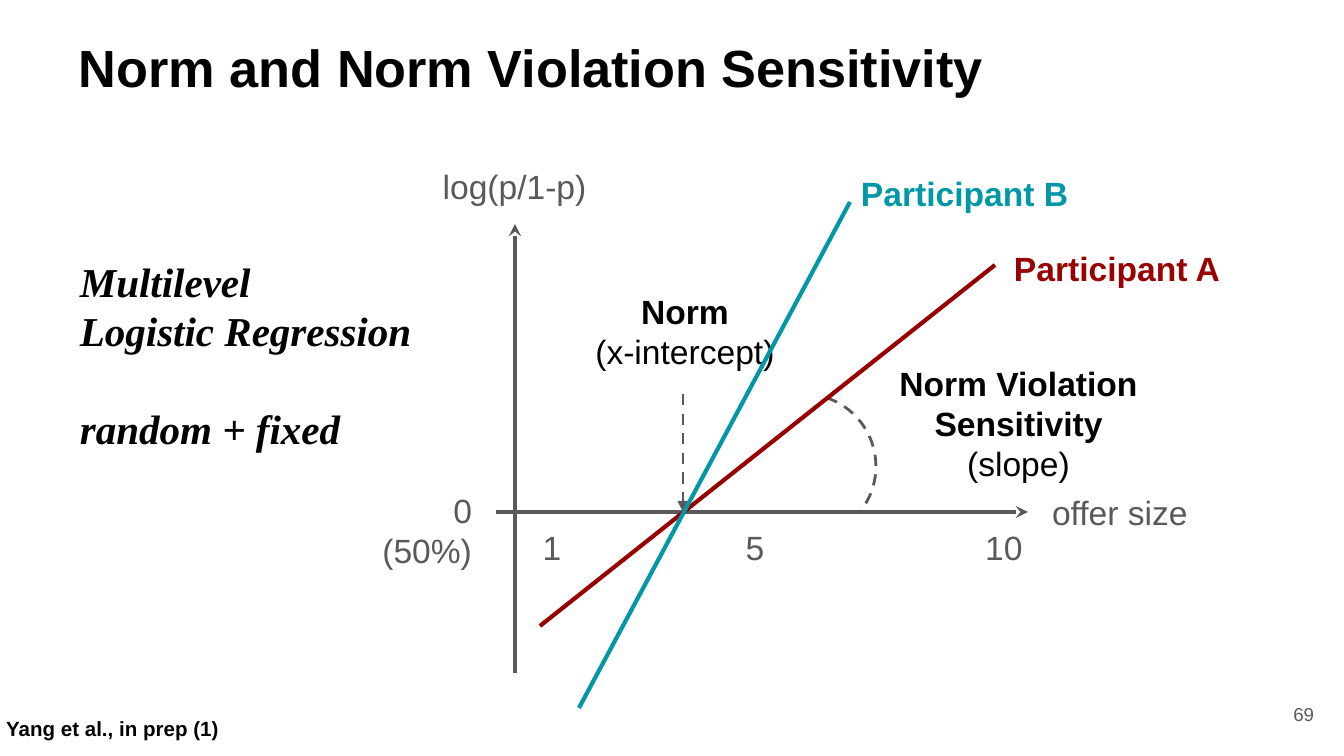
from lxml.etree import SubElement
from pptx import Presentation
from pptx.dml.color import RGBColor
from pptx.enum.dml import MSO_LINE
from pptx.enum.shapes import MSO_CONNECTOR, MSO_SHAPE
from pptx.enum.text import MSO_ANCHOR as ANCHOR, MSO_AUTO_SIZE, PP_ALIGN as ALIGN
from pptx.oxml.ns import qn
from pptx.util import Pt

WIDTH, HEIGHT = 1344, 756
PX = 9144000 / WIDTH
INSET = 13

BLACK = RGBColor(0x00, 0x00, 0x00)
WHITE = RGBColor(0xFF, 0xFF, 0xFF)
GRAY = RGBColor(0x59, 0x59, 0x59)
RED = RGBColor(0x98, 0x00, 0x00)
LABEL_RED = RGBColor(0x98, 0x03, 0x02)
TEAL = RGBColor(0x00, 0x97, 0xA7)

AXIS_LABEL = dict(size=Pt(18), name="Arial", color=GRAY)
PLAIN = dict(AXIS_LABEL, color=BLACK)
BOLD = dict(PLAIN, bold=True)
MODEL = dict(size=Pt(22), name="Times New Roman", color=BLACK, bold=True, italic=True)

TITLE = ("Norm and Norm Violation Sensitivity", dict(BOLD, size=Pt(28)))
TITLE_AREA = (-1, 22, 1300, 165)
TITLE_INDENT = 67

# area, alignment, anchor, (text, format) per paragraph
TEXTS = [
    ((1246, 685, 81, 58), ALIGN.RIGHT, ANCHOR.MIDDLE, [("69", dict(AXIS_LABEL, size=Pt(10)))]),
    ((426, 157, 177, 58), ALIGN.CENTER, ANCHOR.MIDDLE, [("log(p/1-p)", AXIS_LABEL)]),
    ((215, 448, 270, 164), ALIGN.RIGHT, ANCHOR.MIDDLE, [("0", AXIS_LABEL), ("(50%)", AXIS_LABEL)]),
    ((575, 302, 220, 58), ALIGN.CENTER, ANCHOR.MIDDLE, [("Norm", BOLD), ("(x-intercept)", PLAIN)]),
    ((872, 394, 293, 58), ALIGN.CENTER, ANCHOR.MIDDLE,
     [("Norm Violation Sensitivity", BOLD), ("(slope)", PLAIN)]),
    ((1039, 483, 177, 58), ALIGN.LEFT, ANCHOR.MIDDLE, [("offer size", AXIS_LABEL)]),
    ((67, 312, 367, 85), ALIGN.LEFT, ANCHOR.MIDDLE,
     [("Multilevel", MODEL), ("Logistic Regression", MODEL),
      ("random + fixed", dict(MODEL, space_before=Pt(26)))]),
    ((1001, 235, 243, 54), ALIGN.LEFT, ANCHOR.TOP, [("Participant A", dict(BOLD, color=LABEL_RED))]),
    ((848, 160, 243, 54), ALIGN.LEFT, ANCHOR.TOP, [("Participant B", dict(BOLD, color=TEAL))]),
    ((-7, 685, 1051, 69), ALIGN.LEFT, ANCHOR.BOTTOM,
     [("Yang et al., in prep (1)", dict(BOLD, size=Pt(11)))]),
]

# label, centre x, width
TICKS = [("1", 552, 47), ("5", 755, 47), ("10", 1004, 67)]
TICK_TOP, TICK_HEIGHT = 520, 54

# start, end, colour, width in points, arrowhead, dashed
LINES = [
    ((515, 673), (515, 224), GRAY, 2.25, "stealth", False),
    ((496, 512), (1028, 512), GRAY, 2.25, "stealth", False),
    ((683, 394), (683, 512), GRAY, 1.5, "triangle", True),
    ((995, 265), (540, 626), RED, 2.25, None, False),
    ((850, 202), (579, 708), TEAL, 2.25, None, False),
]

# The white cover leaves only the slope angle's arc of the circle visible
ANGLE_CIRCLE = (731, 394, 145, 145)
ANGLE_COVER = (644, 284, 191, 328)
COVER_ROTATION = 342.8


def emu(lengths):
    return [round(length * PX) for length in lengths]


def write(shape, paragraphs, align, anchor):
    frame = shape.text_frame
    settings = dict(word_wrap=True, auto_size=MSO_AUTO_SIZE.NONE, vertical_anchor=anchor)
    for side in ("left", "top", "right", "bottom"):
        settings["margin_" + side] = round(INSET * PX)
    for key, value in settings.items():
        setattr(frame, key, value)
    for index, (text, style) in enumerate(paragraphs):
        paragraph = frame.add_paragraph() if index else frame.paragraphs[0]
        paragraph.alignment = align
        run = paragraph.add_run()
        run.text = text
        for key, value in style.items():
            if key == "color":
                run.font.color.rgb = value
            elif key == "space_before":
                paragraph.space_before = value
            else:
                setattr(run.font, key, value)


def add_angle_part(group, kind, area, color, width):
    part = group.shapes.add_shape(kind, *emu(area))
    part.shadow.inherit = False
    part.fill.solid()
    part.fill.fore_color.rgb = WHITE
    part.line.color.rgb = color
    part.line.width = Pt(width)
    return part


def add_line(shapes, start, end, color, width, arrowhead, dashed):
    connector = shapes.add_connector(MSO_CONNECTOR.STRAIGHT, *emu(start + end))
    line = connector.line
    line.color.rgb = color
    line.width = Pt(width)
    if dashed:
        line.dash_style = MSO_LINE.DASH
    if arrowhead:
        SubElement(line._get_or_add_ln(), qn("a:tailEnd"), type=arrowhead)
    SubElement(connector._element.spPr, qn("a:effectLst"))


def main():
    deck = Presentation()
    deck.slide_width, deck.slide_height = emu((WIDTH, HEIGHT))
    slide = deck.slides.add_slide(deck.slide_layouts[5])
    shapes = slide.shapes

    title = shapes.title
    title.left, title.top, title.width, title.height = emu(TITLE_AREA)
    write(title, [TITLE], ALIGN.LEFT, ANCHOR.TOP)
    title.text_frame.margin_left = round((INSET + TITLE_INDENT) * PX)

    angle = shapes.add_group_shape()
    circle = add_angle_part(angle, MSO_SHAPE.OVAL, ANGLE_CIRCLE, GRAY, 1.5)
    circle.line.dash_style = MSO_LINE.DASH
    cover = add_angle_part(angle, MSO_SHAPE.RECTANGLE, ANGLE_COVER, WHITE, 0.75)
    cover.rotation = COVER_ROTATION

    ticks = [((center - width / 2, TICK_TOP, width, TICK_HEIGHT),
              ALIGN.CENTER, ANCHOR.MIDDLE, [(label, AXIS_LABEL)])
             for label, center, width in TICKS]
    for area, align, anchor, paragraphs in TEXTS + ticks:
        write(shapes.add_textbox(*emu(area)), paragraphs, align, anchor)

    for line in LINES:
        add_line(shapes, *line)

    deck.save("out.pptx")


if __name__ == "__main__":
    main()
